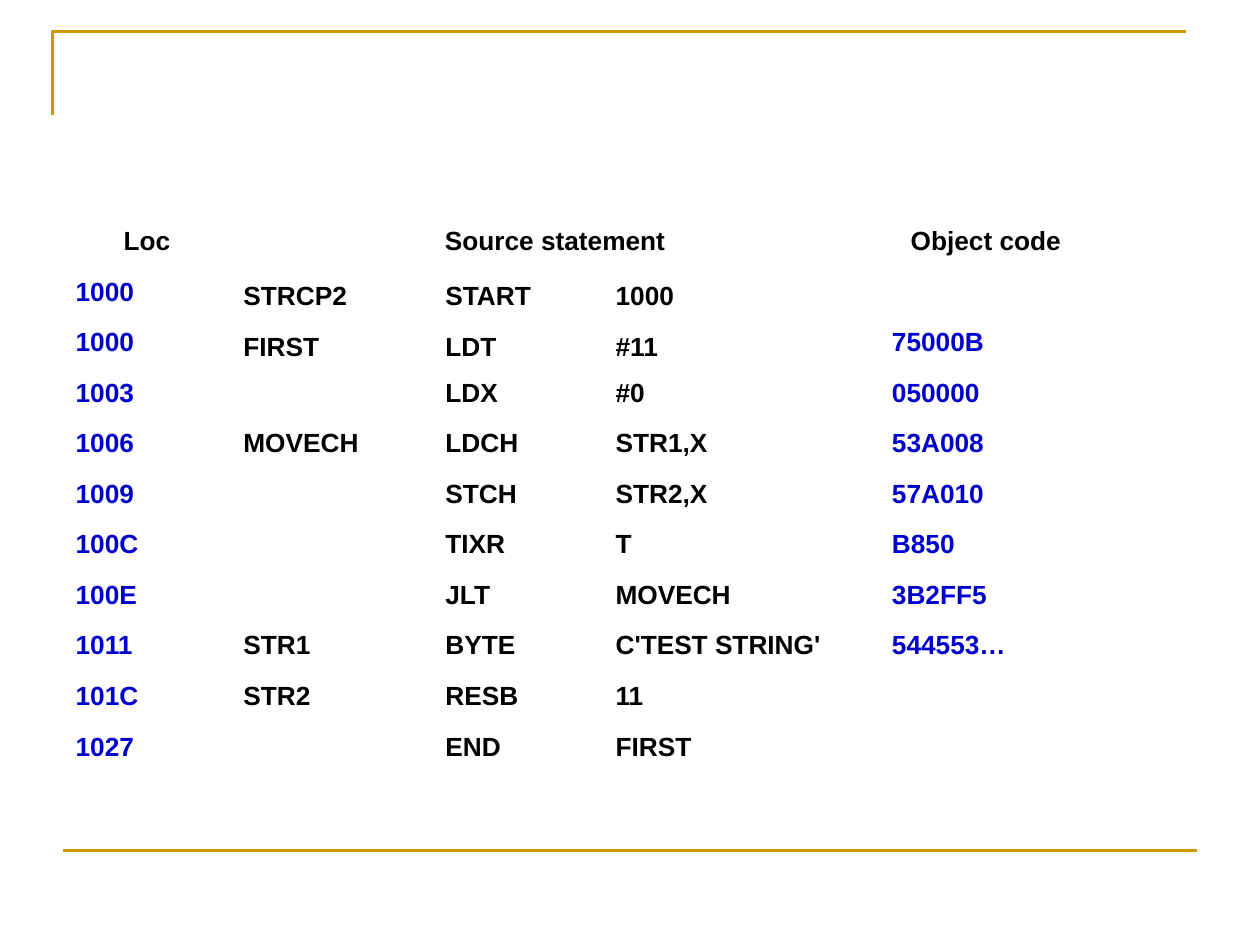
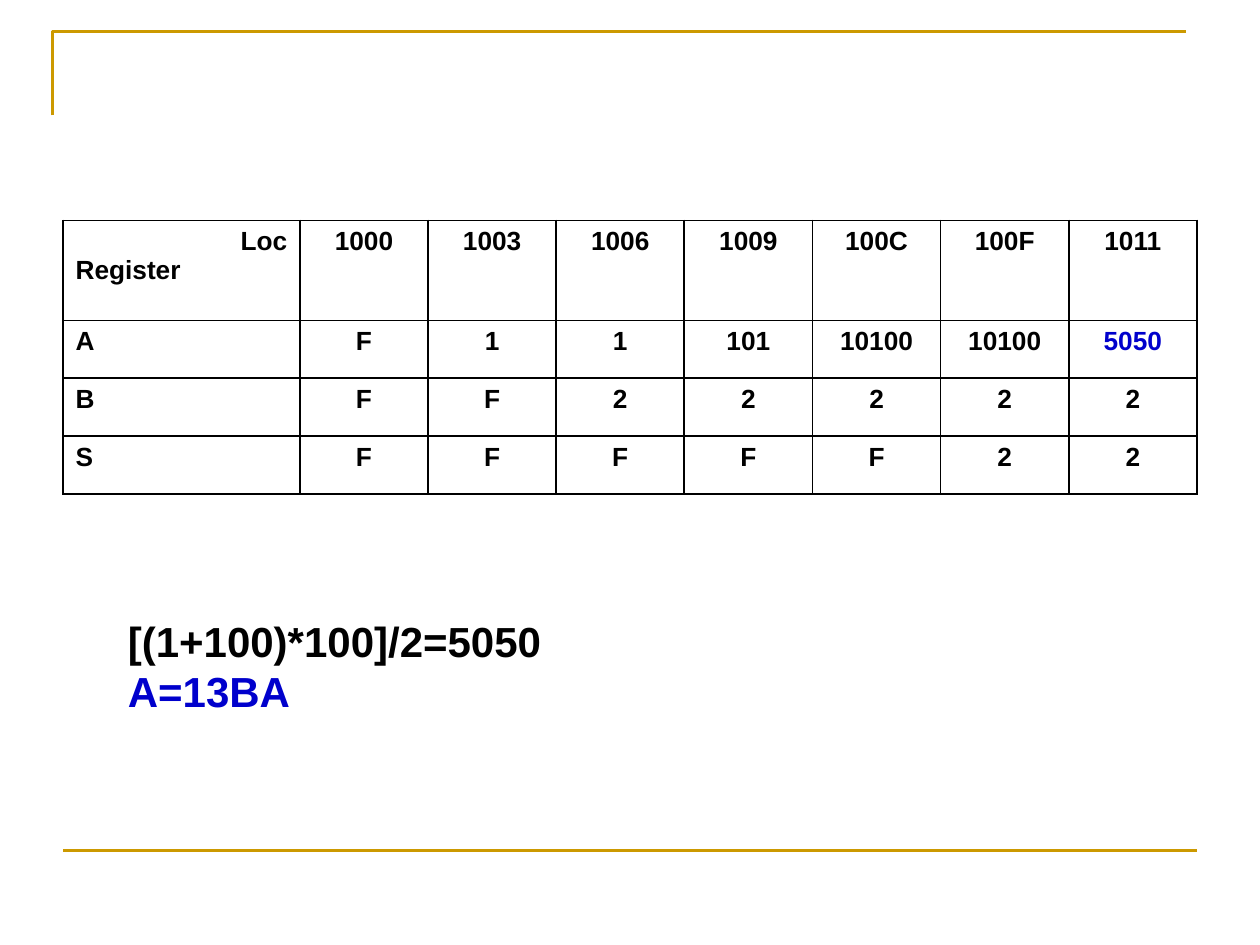
import pptx
import pptx.dml.color
import pptx.enum.shapes
import pptx.enum.text
import pptx.oxml.ns
import pptx.util
import lxml.etree

Pt = pptx.util.Pt
ALIGN = pptx.enum.text.PP_ALIGN
MIDDLE = pptx.enum.text.MSO_ANCHOR.MIDDLE
qn = pptx.oxml.ns.qn

COLORS = {"frame": "CC9900", "text": "000000", "accent": "0000CC"}
FONT = "Arial"
CELL_SIZE = 15


def color_of(name):
    return pptx.dml.color.RGBColor.from_string(COLORS[name])


def write(para, text, size=CELL_SIZE, color="text", align=ALIGN.LEFT, before=0):
    """Write one bold paragraph; an empty one only keeps its size."""
    para.alignment = align
    para.space_before = Pt(before)
    if not text:
        end = lxml.etree.SubElement(para._p, qn("a:endParaRPr"))
        end.set("sz", str(size * 100))
        return
    span = para.add_run()
    span.text = text
    span.font.name = FONT
    span.font.size = Pt(size)
    span.font.bold = True
    span.font.color.rgb = color_of(color)


class Deck:
    """The shared style and the page being filled."""

    def __init__(self):
        self.deck = pptx.Presentation()
        self.deck.slide_width, self.deck.slide_height = Pt(720), Pt(540)
        self.page = None

    def add_page(self):
        self.page = self.deck.slides.add_slide(self.deck.slide_layouts[6])
        self.corner()
        self.rule(36, 486, 684)

    def stroke(self, line):
        line.color.rgb = color_of("frame")
        line.width = Pt(1.5)

    def corner(self):
        """Open bracket around the top left of the page."""
        builder = self.page.shapes.build_freeform(Pt(30), Pt(66))
        builder.add_line_segments([(Pt(30), Pt(18)), (Pt(678), Pt(18))], close=False)
        shape = builder.convert_to_shape()
        shape.shadow.inherit = False
        shape.fill.background()
        self.stroke(shape.line)

    def rule(self, left, top, right):
        line = self.page.shapes.add_connector(
            pptx.enum.shapes.MSO_CONNECTOR.STRAIGHT, Pt(left), Pt(top), Pt(right), Pt(top))
        self.stroke(line.line)
        lxml.etree.SubElement(line.element.spPr, qn("a:effectLst"))

    def table(self, left, top, widths, heights):
        """Plain table without fills or banding."""
        frame = self.page.shapes.add_table(
            len(heights), len(widths), Pt(left), Pt(top), Pt(sum(widths)), Pt(sum(heights)))
        table = frame.table
        table.first_row = table.horz_banding = False
        for column, width in zip(table.columns, widths):
            column.width = Pt(width)
        for row, height in zip(table.rows, heights):
            row.height = Pt(height)
        for cell in table.iter_cells():
            cell.fill.background()
        return frame

    def borders(self, frame, width):
        """Draw all four edges of every cell."""
        for properties in frame.element.iter(qn("a:tcPr")):
            for place, side in enumerate(("lnL", "lnR", "lnT", "lnB")):
                edge = lxml.etree.Element(qn("a:" + side), w=str(Pt(width)))
                fill = lxml.etree.SubElement(edge, qn("a:solidFill"))
                lxml.etree.SubElement(fill, qn("a:srgbClr"), val=COLORS["text"])
                properties.insert(place, edge)

    def text(self, left, top, width, height, lines, size):
        box = self.page.shapes.add_textbox(Pt(left), Pt(top), Pt(width), Pt(height))
        frame = box.text_frame
        frame.word_wrap = True
        frame.auto_size = pptx.enum.text.MSO_AUTO_SIZE.SHAPE_TO_FIT_TEXT
        for index, (line, color) in enumerate(lines):
            para = frame.add_paragraph() if index else frame.paragraphs[0]
            write(para, line, size=size, color=color)


show = Deck()

# Page 1: assembly listing with its object code
LISTING = [
    ("1000", "STRCP2", "START", "1000", ""),
    ("1000", "FIRST", "LDT", "#11", "75000B"),
    ("1003", "", "LDX", "#0", "050000"),
    ("1006", "MOVECH", "LDCH", "STR1,X", "53A008"),
    ("1009", "", "STCH", "STR2,X", "57A010"),
    ("100C", "", "TIXR", "T", "B850"),
    ("100E", "", "JLT", "MOVECH", "3B2FF5"),
    ("1011", "STR1", "BYTE", "C'TEST STRING'", "544553…"),
    ("101C", "STR2", "RESB", "11", ""),
    ("1027", "", "END", "FIRST", ""),
]
show.add_page()
listing = show.table(36, 126, [95.9, 115.4, 97.3, 157.9, 121.7],
                     [28.9] * (len(LISTING) + 1)).table
listing.cell(0, 1).merge(listing.cell(0, 3))
for column, heading in ((0, "Loc"), (1, "Source statement"), (4, "Object code")):
    write(listing.cell(0, column).text_frame.paragraphs[0], heading, align=ALIGN.CENTER)
for row, values in enumerate(LISTING, start=1):
    for column, value in enumerate(values):
        cell = listing.cell(row, column)
        para = cell.text_frame.paragraphs[0]
        if column in (0, 4):
            write(para, value, color="accent", before=3.7)
        else:
            write(para, value)
            if row <= 2:
                cell.vertical_anchor = MIDDLE

# Page 2: register trace and the result
TRACE = [
    ("Loc", "1000", "1003", "1006", "1009", "100C", "100F", "1011"),
    ("A", "F", "1", "1", "101", "10100", "10100", "5050"),
    ("B", "F", "F", "2", "2", "2", "2", "2"),
    ("S", "F", "F", "F", "F", "F", "2", "2"),
]
show.add_page()
trace_frame = show.table(36, 126, [135.4] + [73.23] * 7, [57.2] + [33] * 3)
show.borders(trace_frame, 1.08)
trace = trace_frame.table
for row, values in enumerate(TRACE):
    for column, value in enumerate(values):
        write(trace.cell(row, column).text_frame.paragraphs[0], value,
              color="accent" if value == "5050" else "text",
              align=ALIGN.CENTER if column else ALIGN.LEFT)
corner_text = trace.cell(0, 0).text_frame
corner_text.paragraphs[0].alignment = ALIGN.RIGHT
write(corner_text.add_paragraph(), "Register")

show.text(66, 348, 360, 65, [("[(1+100)*100]/2=5050", "text"), ("A=13BA", "accent")], size=24)

show.deck.save("out.pptx")
